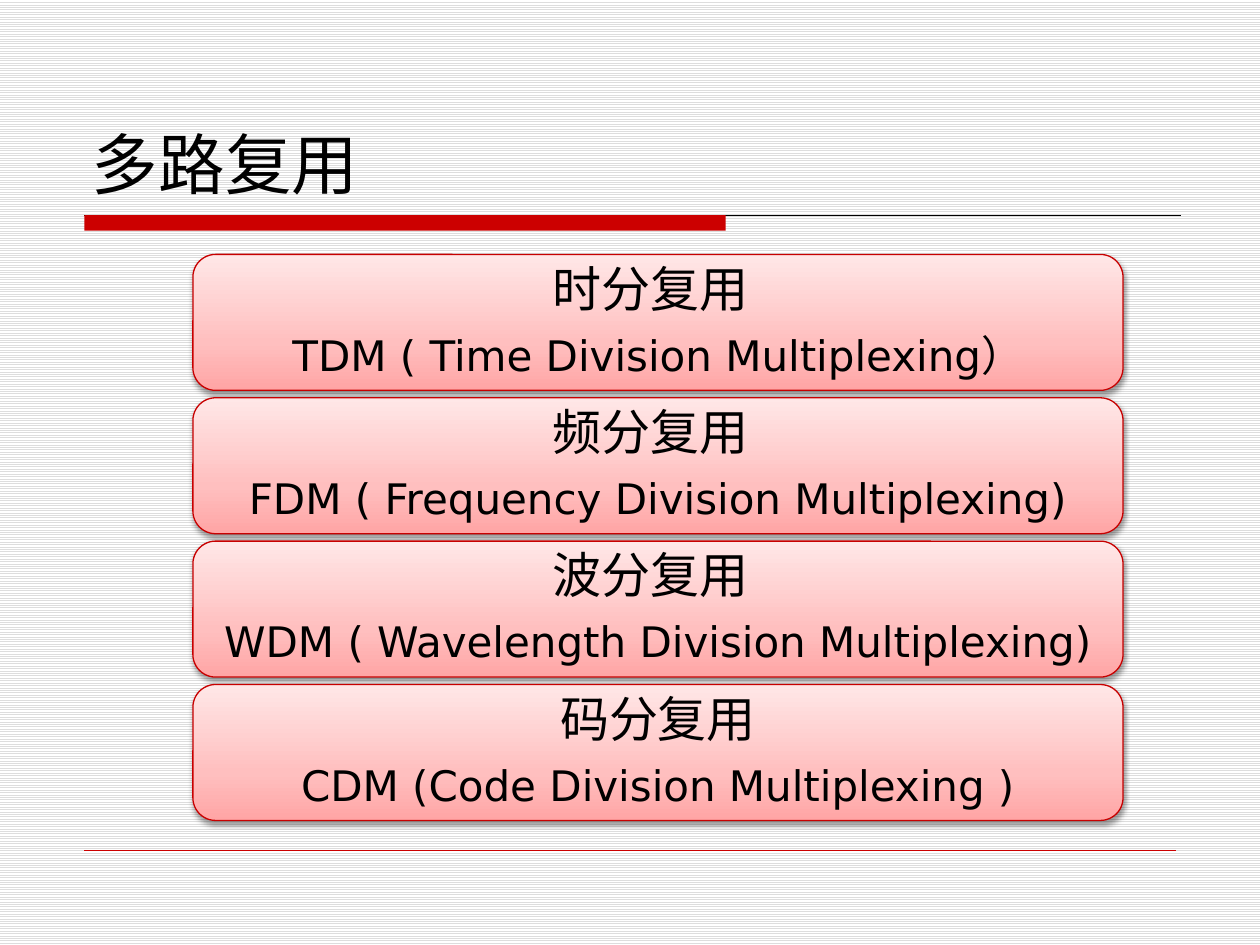
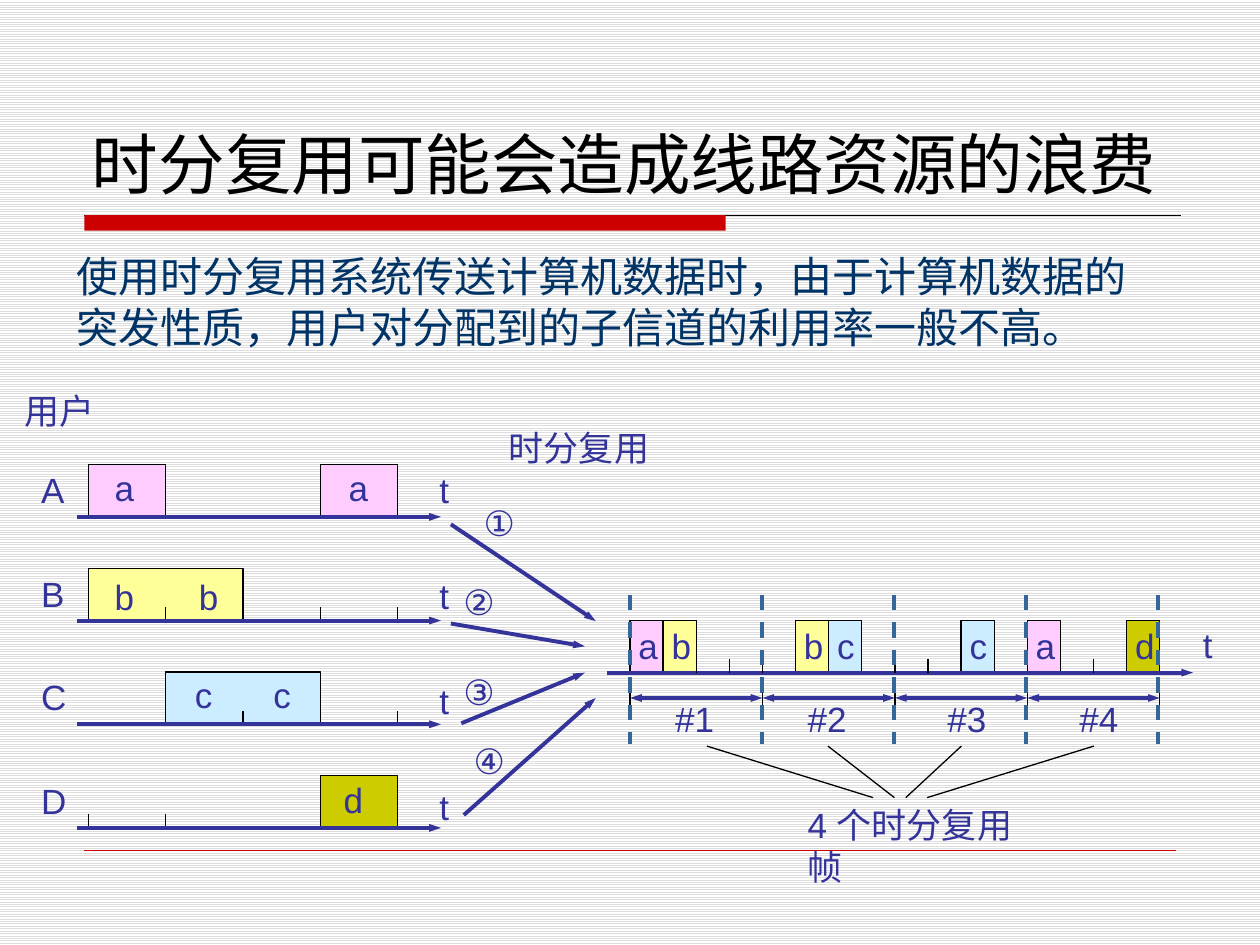
from lxml import etree
from pptx import Presentation
from pptx import util as u
from pptx.dml.color import RGBColor
from pptx.enum import dml, lang, shapes, text
from pptx.oxml import parse_xml
from pptx.oxml.ns import nsdecls, qn

Cm, Pt = u.Cm, u.Pt

HUE = {
    "black": "000000", "white": "FFFFFF", "stripe": "DDDDDD",
    "red": "CC0000", "edge": "C80000", "ink": "333399",
    "navy": "003366", "dash": "336699",
    "a": "FFCCFF", "b": "FFFF99", "c": "CCECFF", "d": "CCCC00",
}
GRADE = [(0, "FFA5A5"), (35, "FFBFBF"), (100, "FFE7E7")]
SANS, HAN, PLAIN = "DejaVu Sans", "Noto Sans CJK SC", "Arial"

# Content of slide 1
KINDS = [
    ("时分复用 ", "TDM ( Time Division Multiplexing）"),
    ("频分复用 ", "FDM ( Frequency Division Multiplexing)"),
    ("波分复用 ", "WDM ( Wavelength Division Multiplexing)"),
    ("码分复用", "CDM (Code Division Multiplexing )"),
]

# Content of slide 2; lengths in cm
BODY = ("使用时分复用系统传送计算机数据时，由于计算机数据的突发性质，"
        "用户对分配到的子信道的利用率一般不高。")
USERS = [  # user, letter, blocks (slot, count), letter lefts, letter top, ticks
    ("A", "a", [(0, 1), (3, 1)], [2.06, 6.78], 9.27, []),
    ("B", "b", [(0, 2)], [2.06, 3.76], 11.47, [1, 3, 4]),
    ("C", "c", [(1, 2)], [3.68, 5.26], 13.45, [2, 4]),
    ("D", "d", [(3, 1)], [6.68], 15.57, [0, 1, 3]),
]
SENT = [(0, "a"), (1, "b"), (5, "b"), (6, "c"), (10, "c"), (12, "a"), (15, "d")]
GAPS = [2, 3, 4, 8, 9, 14]
MERGE = [  # number, its left and top, arrow ends
    ("①", (9.5, 9.98), (9.09, 10.57, 12.01, 12.52)),
    ("②", (9.09, 11.58), (9.09, 12.57, 11.79, 13.03)),
    ("③", (9.09, 13.39), (9.3, 14.58, 11.79, 13.56)),
    ("④", (9.3, 14.78), (9.35, 16.43, 12.01, 14.07)),
]
FRAMES = [  # name, its left, fan line from x to x
    ("#1", 13.36, 14.25, 17.6),
    ("#2", 16.03, 16.69, 18.03),
    ("#3", 18.85, 19.38, 18.26),
    ("#4", 21.51, 22.05, 18.69),
]
LEFT, SLOT, TALL = 1.78, 1.56, 1.05   # user time slots
ROW, STEP = 10.42, 2.09               # user time axes
START, FRAME, BASE = 12.7, 2.67, 13.56  # shared line
PART = FRAME / 4
TICK = 0.27


def rgb(key):
    return RGBColor.from_string(HUE[key])


def write(para, words, size=20, font=PLAIN, hue="ink", align=None, after=None, lead=None):
    run = para.add_run()
    run.text = words
    face = run.font
    face.size, face.name = Pt(size), font
    face.color.rgb = rgb(hue)
    face.language_id = lang.MSO_LANGUAGE_ID.SIMPLIFIED_CHINESE
    etree.SubElement(run._r.rPr, qn("a:ea"), typeface=SANS)
    para.alignment = align
    if after:
        para.space_after = Pt(after)
    if lead:
        para.line_spacing = lead


def label(slide, words, x, y, wide=0.9, high=1.09, wrap=False, **look):
    box = slide.shapes.add_textbox(Cm(x), Cm(y), Cm(wide), Cm(high))
    box.text_frame.word_wrap = wrap
    write(box.text_frame.paragraphs[0], words, **look)


def line(slide, x1, y1, x2, y2, hue="black", width=0.75, head=False, tail=False, dash=False):
    link = slide.shapes.add_connector(
        shapes.MSO_CONNECTOR.STRAIGHT, Cm(x1), Cm(y1), Cm(x2), Cm(y2))
    link.line.color.rgb = rgb(hue)
    link.line.width = Pt(width)
    if dash:
        link.line.dash_style = dml.MSO_LINE.DASH
    for on, tag in ((head, "a:headEnd"), (tail, "a:tailEnd")):
        if on:
            etree.SubElement(link.line._get_or_add_ln(), qn(tag),
                             type="triangle", w="sm", len="med")
    etree.SubElement(link._element.spPr, qn("a:effectLst"))


def arrow(slide, *ends, head=False):
    line(slide, *ends, hue="ink", width=2.25, head=head, tail=True)


def block(slide, x, base, wide, hue):
    """Draw a data block whose outline is open along the time axis."""
    top = base - TALL
    pen = slide.shapes.build_freeform(Cm(x), Cm(base))
    pen.add_line_segments(
        [(Cm(x), Cm(top)), (Cm(x + wide), Cm(top)), (Cm(x + wide), Cm(base))], close=False)
    form = pen.convert_to_shape()
    form.shadow.inherit = False
    form.fill.solid()
    form.fill.fore_color.rgb = rgb(hue)
    form.line.color.rgb = rgb("black")
    form.line.width = Pt(0.75)


def start(deck, title):
    """Add a slide with its title, red band and rules."""
    slide = deck.slides.add_slide(deck.slide_layouts[5])
    line(slide, 1.7, 4.34, 23.8, 4.34)
    band = slide.shapes.add_shape(
        shapes.MSO_SHAPE.RECTANGLE, Cm(1.7), Cm(4.34), Cm(12.93), Cm(0.31))
    band.shadow.inherit = False
    band.fill.solid()
    band.fill.fore_color.rgb = rgb("red")
    band.line.fill.background()
    line(slide, 1.7, 17.15, 23.7, 17.15, hue="red", width=0.25)
    head = slide.shapes.title
    head.left, head.top, head.width, head.height = Cm(1.6), Cm(0.84), Cm(22.23), Cm(3.38)
    frame = head.text_frame
    frame.auto_size = text.MSO_AUTO_SIZE.NONE
    frame.vertical_anchor = text.MSO_ANCHOR.BOTTOM
    write(frame.paragraphs[0], title, size=38, font=SANS, hue="black", align=text.PP_ALIGN.LEFT)
    return slide


def card(slide, y, name, full):
    box = slide.shapes.add_shape(
        shapes.MSO_SHAPE.ROUNDED_RECTANGLE, Cm(3.89), Cm(y), Cm(18.75), Cm(2.74))
    box.shadow.inherit = False
    stops = "".join(f'<a:gs pos="{pos * 1000}"><a:srgbClr val="{hue}"/></a:gs>'
                    for pos, hue in GRADE)
    props = box._element.spPr
    props.insert(2, parse_xml(
        f'<a:gradFill {nsdecls("a")} rotWithShape="1"><a:gsLst>{stops}</a:gsLst>'
        '<a:lin ang="16200000" scaled="0"/></a:gradFill>'))
    box.line.color.rgb = rgb("edge")
    box.line.width = Pt(0.75)
    props.find(qn("a:effectLst")).append(parse_xml(
        f'<a:outerShdw {nsdecls("a")} blurRad="{Pt(3.1)}" dist="{Pt(1.6)}" dir="5400000" '
        'rotWithShape="0"><a:srgbClr val="000000"><a:alpha val="38000"/></a:srgbClr>'
        '</a:outerShdw>'))
    frame = box.text_frame
    frame.word_wrap = True
    frame.vertical_anchor = text.MSO_ANCHOR.MIDDLE
    frame.margin_left = frame.margin_right = Cm(0.44)
    frame.margin_top = frame.margin_bottom = Cm(0.29)
    look = dict(hue="black", align=text.PP_ALIGN.CENTER, lead=0.9)
    write(frame.paragraphs[0], name, size=28, font=HAN, after=9.8, **look)
    write(frame.add_paragraph(), full, size=24, font=SANS, after=8.4, **look)


def draw_users(slide):
    label(slide, "用户", 0.25, 7.72, wide=1.93)
    for row, (user, mark, runs, lefts, top, ticks) in enumerate(USERS):
        base = ROW + row * STEP
        for slot, count in runs:
            block(slide, LEFT + slot * SLOT, base, count * SLOT, mark)
        for slot in ticks:
            x = LEFT + slot * SLOT
            line(slide, x, base - TICK, x, base)
        for x in lefts:
            label(slide, mark, x, top)
        label(slide, user, 0.58, 9.32 + row * STEP, wide=1)
        label(slide, "t", 8.61, 9.32 + row * 2.13, wide=0.71)
        arrow(slide, 1.55, base, 8.89, base)


def draw_line(slide):
    for slot, mark in SENT:
        block(slide, START + slot * PART, BASE, PART, mark)
    arrow(slide, 12.24, BASE, 24.05, BASE)
    for slot in GAPS:
        x = START + slot * PART
        line(slide, x, BASE - TICK, x, BASE)
    for slot, mark in SENT:
        label(slide, mark, START + slot * PART - 0.08, 12.47)
    label(slide, "t", 24, 12.45, wide=0.71)
    for k in range(len(FRAMES) + 1):
        x = START + k * FRAME
        line(slide, x, 13.82, x, 14.35)
    for k, (name, left, x1, x2) in enumerate(FRAMES):
        x = START + k * FRAME
        arrow(slide, x, 14.07, x + FRAME, 14.07, head=True)
        label(slide, name, left, 13.94, wide=1.3)
        line(slide, x1, 15.04, x2, 16.08)
    for k in range(len(FRAMES) + 1):
        x = START + k * 2.66
        line(slide, x, 11.99, x, 14.99, hue="dash", width=2.25, dash=True)
    label(slide, "4 个时分复用帧", 16.03, 16.08, wide=5.3, wrap=True, lead=Pt(24))


def main():
    deck = Presentation()
    deck.slide_width, deck.slide_height = Cm(25.4), Cm(19.05)
    ground = deck.slide_master.background.fill
    ground.patterned()
    ground.pattern = dml.MSO_PATTERN.LIGHT_HORIZONTAL
    ground.fore_color.rgb = rgb("stripe")
    ground.back_color.rgb = rgb("white")

    slide = start(deck, "多路复用")
    for k, (name, full) in enumerate(KINDS):
        card(slide, 5.13 + k * 2.89, name, full)

    slide = start(deck, "时分复用可能会造成线路资源的浪费")
    label(slide, BODY, 1.3, 4.93, wide=22.3, high=2.31, wrap=True,
          size=24, font=HAN, hue="navy")
    label(slide, "时分复用", 10.01, 8.48, wide=3.33)
    draw_users(slide)
    draw_line(slide)
    for name, (x, y), ends in MERGE:
        arrow(slide, *ends)
        label(slide, name, x, y, wide=1.22)
    deck.save("out.pptx")


if __name__ == "__main__":
    main()
